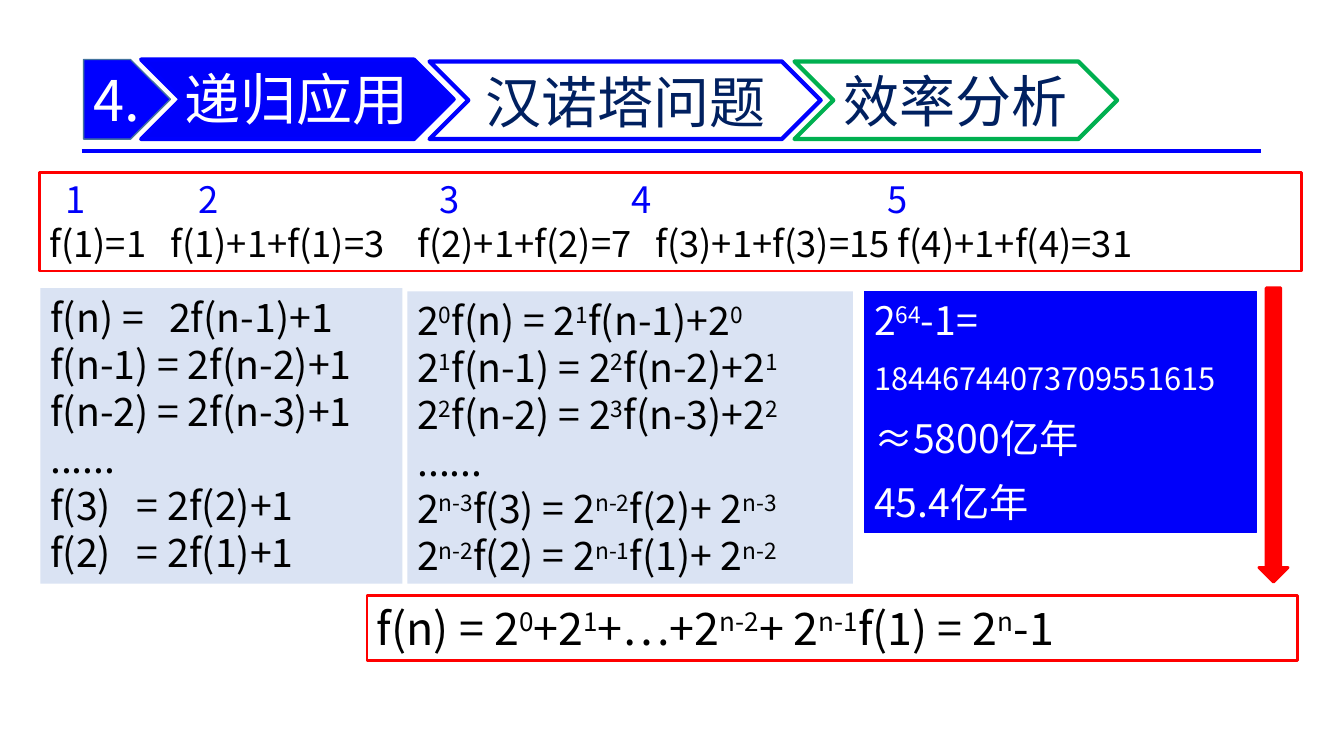
"""Build a slide on the cost of the Tower of Hanoi recursion."""
from lxml.etree import SubElement
from pptx import Presentation
from pptx.dml.color import RGBColor
from pptx.enum.shapes import MSO_CONNECTOR as LINE, MSO_SHAPE as KIND
from pptx.enum.text import MSO_ANCHOR as ANCHOR, MSO_AUTO_SIZE as FIT, PP_ALIGN as ALIGN
from pptx.oxml.ns import qn
from pptx.util import Inches, Pt

FACE = "Noto Sans CJK SC"
HUE = {"white": "FFFFFF", "black": "000000", "blue": "0000FF", "deep": "0000FA",
       "navy": "002060", "pale": "DAE3F3", "red": "FF0000", "green": "00B050",
       "steel": "43739E"}


def tint(name):
    return RGBColor.from_string(HUE[name])


def write(shape, text, size=28, hue="black", hues={}, sizes={}, gap=0, tabs=(),
          mid=False, grow=True, inset=None, indent=0):
    """Fill a shape line by line; text between carets is superscript."""
    frame = shape.text_frame
    frame.word_wrap = True
    frame.auto_size = FIT.SHAPE_TO_FIT_TEXT if grow else FIT.NONE
    frame.vertical_anchor = ANCHOR.MIDDLE if mid else ANCHOR.TOP
    if inset:
        frame.margin_left, frame.margin_top, frame.margin_right, frame.margin_bottom = map(Inches, inset)
    for row, line in enumerate(text.split("\n")):
        para = frame.add_paragraph() if row else frame.paragraphs[0]
        para.alignment = ALIGN.LEFT
        para.space_before = para.space_after = Pt(gap)
        props = para._p.get_or_add_pPr()
        if indent:
            props.set("marL", str(Inches(indent)))
            props.set("indent", "0")
        if tabs:
            stops = SubElement(props, qn("a:tabLst"))
            for stop in tabs[row]:
                SubElement(stops, qn("a:tab"), pos=str(Inches(stop)), algn="l")
        for part, words in enumerate(line.split("^")):
            if not words:
                continue
            run = para.add_run()
            run.text = words
            run.font.size = Pt(sizes.get(row, size))
            run.font.color.rgb = tint(hues.get(row, hue))
            run.font.name = FACE
            look = run._r.get_or_add_rPr()
            SubElement(look, qn("a:ea"), typeface=FACE)
            if part % 2:
                look.set("baseline", "30000")


def draw(kind, box, fill, edge=None, width=2):
    shape = slide.shapes.add_shape(kind, *map(Inches, box))
    shape.shadow.inherit = False
    shape.fill.solid()
    shape.fill.fore_color.rgb = tint(fill)
    if edge:
        shape.line.color.rgb = tint(edge)
        shape.line.width = Pt(width)
    else:
        shape.line.fill.background()
    return shape


deck = Presentation()
deck.slide_width, deck.slide_height = Inches(13.33), Inches(7.5)
slide = deck.slides.add_slide(deck.slide_layouts[6])

rule = slide.shapes.add_connector(LINE.STRAIGHT, *map(Inches, (0.81, 1.5, 12.51, 1.5)))
rule.line.color.rgb = tint("blue")
rule.line.width = Pt(3)
SubElement(rule._element.spPr, qn("a:effectLst"))

steps = draw(KIND.RECTANGLE, (0.39, 1.71, 12.52, 0.98), "white", "red")
write(steps, "\t1\t2\t3\t4\t5\nf(1)=1\tf(1)+1+f(1)=3\tf(2)+1+f(2)=7\tf(3)+1+f(3)=15 f(4)+1+f(4)=31",
      size=26, hues={0: "deep"},
      tabs=((0.16, 1.48, 3.87, 5.77, 8.31), (1.2, 3.65, 6.01)))

terms = draw(KIND.RECTANGLE, (0.4, 2.86, 3.59, 2.93), "pale")
write(terms, "f(n) =\t2f(n-1)+1\nf(n-1) = 2f(n-2)+1\nf(n-2) = 2f(n-3)+1\n......\n"
      "f(3)\t= 2f(2)+1\nf(2)\t= 2f(1)+1",
      tabs=((1.18,), (), (), (), (0.86,), (0.86,)))

scaled = draw(KIND.RECTANGLE, (4.04, 2.89, 4.42, 2.9), "pale")
write(scaled, "2^0^f(n) = 2^1^f(n-1)+2^0^\n2^1^f(n-1) = 2^2^f(n-2)+2^1^\n"
      "2^2^f(n-2) = 2^3^f(n-3)+2^2^\n......\n"
      "2^n-3^f(3) = 2^n-2^f(2)+ 2^n-3^\n2^n-2^f(2) = 2^n-1^f(1)+ 2^n-2^")

total = draw(KIND.RECTANGLE, (3.64, 5.91, 9.23, 0.64), "white", "red")
write(total, "f(n) = 2^0^+2^1^+…+2^n-2^+ 2^n-1^f(1) = 2^n^-1", size=32, gap=6)

arrow = draw(KIND.RIGHT_ARROW, (11.17, 4.17, 2.92, 0.29), "red", "red")
arrow.rotation = 90

years = draw(KIND.RECTANGLE, (8.57, 2.89, 3.89, 2.39), "deep", "deep", 0.75)
write(years, "2^64^-1=\n18446744073709551615\n≈5800亿年\n45.4亿年",
      hue="white", sizes={1: 22}, gap=6)

title = {"size": 40, "grow": False}
label = {**title, "mid": True, "inset": (0.04, 0.02, 0, 0.02)}

topic = draw(KIND.CHEVRON, (7.88, 0.61, 3.2, 0.77), "white", "green", 3)
write(topic, "效率分析", hue="navy", **title)

draw(KIND.CHEVRON, (4.26, 0.61, 3.88, 0.77), "white", "blue", 3)
puzzle = slide.shapes.add_textbox(*map(Inches, (4.28, 0.46, 3.89, 1.08)))
write(puzzle, "汉诺塔问题", hue="navy", indent=0.5, **label)

number = draw(KIND.PENTAGON, (0.83, 0.59, 0.86, 0.79), "blue", "steel", 1)
write(number, "4.", hue="white", mid=True, **title)

draw(KIND.CHEVRON, (1.4, 0.59, 3.1, 0.79), "deep", "blue", 3)
theme = slide.shapes.add_textbox(*map(Inches, (1.79, 0.43, 2.84, 1.08)))
write(theme, "递归应用", hue="white", **label)

deck.save("out.pptx")
